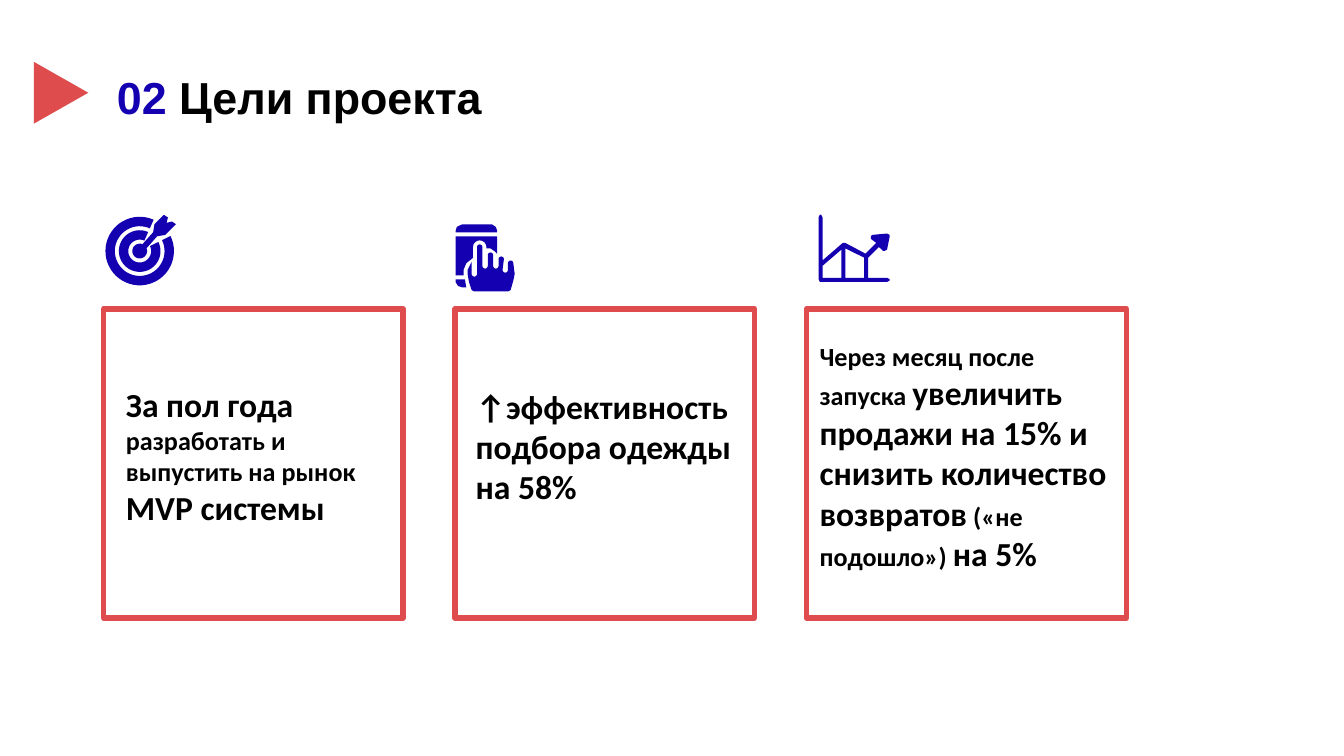
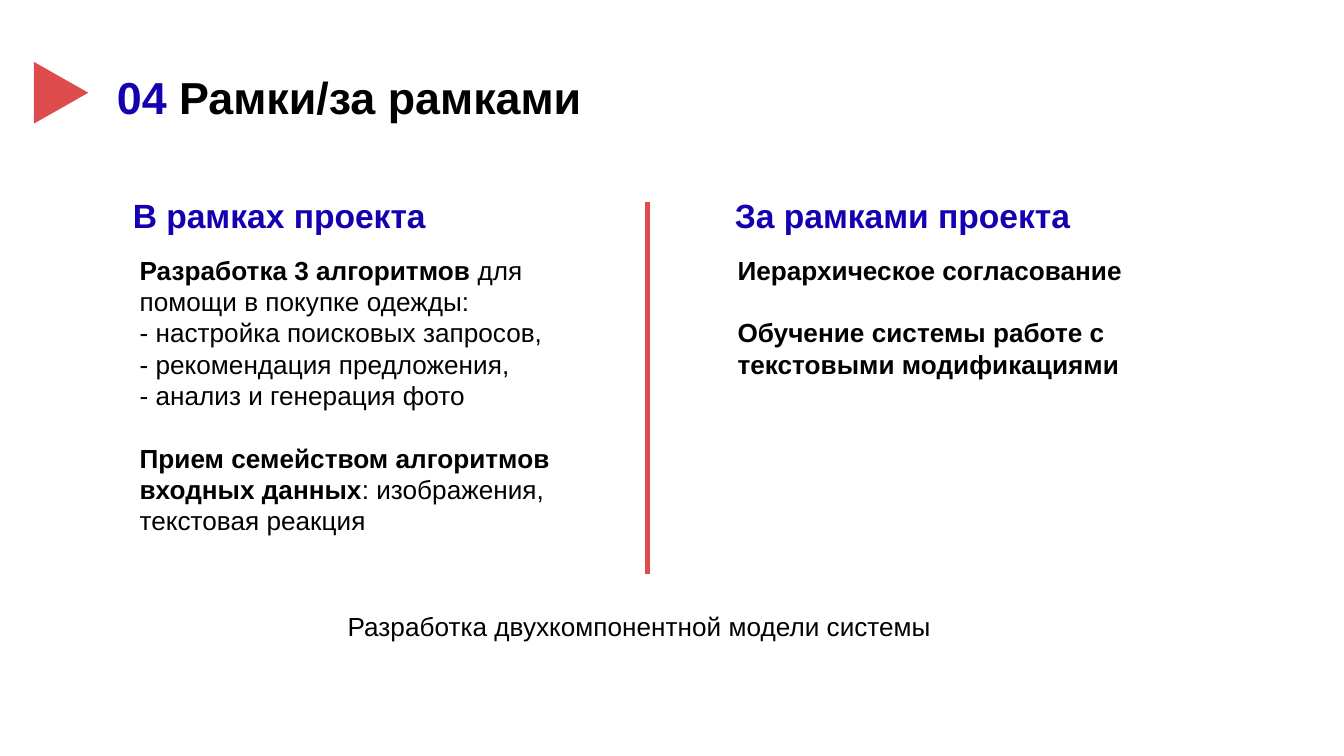
from dataclasses import dataclass
from math import cos, radians, sin

from lxml import etree
from pptx import Presentation
from pptx.dml.color import RGBColor
from pptx.enum.shapes import MSO_CONNECTOR, MSO_SHAPE
from pptx.enum.text import MSO_ANCHOR
from pptx.oxml.ns import qn
from pptx.util import Cm, Pt

RECT = MSO_SHAPE.RECTANGLE
LINE = MSO_CONNECTOR.STRAIGHT
TOP = MSO_ANCHOR.TOP
MID = MSO_ANCHOR.MIDDLE

RED = "DE4C4D"
BLUE = "1500B1"
BLACK = "000000"
SANS = "Arial"
BODY = "Calibri"
GRID = Cm(2.54) / 100
STROKE = Pt(3)
BREAK = 16.8

Point = tuple[float, float]
Path = list[Point]


@dataclass(frozen=True)
class Box:
    left: float
    top: float
    width: float
    height: float

    def lengths(self) -> list[Cm]:
        return [Cm(v) for v in (self.left, self.top, self.width, self.height)]


@dataclass(frozen=True)
class Run:
    text: str
    size: float = 14
    bold: bool = True
    tone: str = BLACK


@dataclass(frozen=True)
class Para:
    runs: list[Run]
    gap: float = 0


@dataclass(frozen=True)
class Icon:
    left: float
    top: float
    paths: list[Path]


@dataclass(frozen=True)
class Goal:
    width: float
    icon: Icon
    box: Box
    pad: tuple[float, float]
    runs: list[Run]


@dataclass(frozen=True)
class Scope:
    head: str
    box: Box
    body: Box
    paras: list[Para]


def hue(code: str) -> RGBColor:
    return RGBColor.from_string(code)


def put(para, text: str, *, size: float, bold: bool, tone: str, face: str) -> None:
    run = para.add_run()
    run.text = text
    run.font.size = Pt(size)
    run.font.bold = bold
    run.font.name = face
    run.font.color.rgb = hue(tone)


def write(slide, box: Box, paras: list[Para], face: str = SANS,
          pad: tuple[float, float] = (0.25, 0.25), left: float = 0, anchor=TOP) -> None:
    frame = slide.shapes.add_textbox(*box.lengths()).text_frame
    frame.word_wrap = True
    frame.vertical_anchor = anchor
    frame.margin_left = Cm(pad[0] + left)
    frame.margin_right = Cm(pad[0])
    frame.margin_top = frame.margin_bottom = Cm(pad[1])
    for i, item in enumerate(paras):
        para = frame.add_paragraph() if i else frame.paragraphs[0]
        para.space_before = Pt(item.gap)
        for run in item.runs:
            put(para, run.text, size=run.size, bold=run.bold, tone=run.tone, face=face)


def draw(slide, icon: Icon, tone: str) -> None:
    paths = [[(x * GRID, y * GRID) for x, y in path] for path in icon.paths]
    pen = slide.shapes.build_freeform(*paths[0][0])
    for i, path in enumerate(paths):
        if i:
            pen.move_to(*path[0])
        pen.add_line_segments(path[1:], close=True)
    shape = pen.convert_to_shape(Cm(icon.left), Cm(icon.top))
    shape.shadow.inherit = False
    shape.fill.solid()
    shape.fill.fore_color.rgb = hue(tone)
    shape.line.fill.background()


def frame(slide, box: Box) -> None:
    shape = slide.shapes.add_shape(RECT, *box.lengths())
    shape.shadow.inherit = False
    shape.fill.background()
    shape.line.color.rgb = hue(RED)
    shape.line.width = STROKE


def rule(slide, x: float, top: float, foot: float) -> None:
    line = slide.shapes.add_connector(LINE, Cm(x), Cm(top), Cm(x), Cm(foot))
    line.line.color.rgb = hue(RED)
    line.line.width = STROKE
    etree.SubElement(line._element.spPr, qn("a:effectLst"))


def arc(mid: Point, size: float, start: float, end: float, steps: int = 8) -> Path:
    turns = [radians(start + (end - start) * i / steps) for i in range(steps + 1)]
    return [(mid[0] + size * cos(t), mid[1] + size * sin(t)) for t in turns]


def ring(mid: Point, outer: float, inner: float) -> Path:
    return arc(mid, outer, -26, 294, 48) + arc(mid, inner, 294, -26, 48)


def target() -> list[Path]:
    mid = (26, 27)
    dart = arc(mid, 5.5, -22, 292, 24) + [
        (36, 13), (37, 7), (44, 0), (47, 2), (46, 6),
        (50, 5), (53, 7), (45, 15), (39, 16)]
    return [ring(mid, 25.5, 18.5), ring(mid, 15.5, 8.5), dart]


def phone() -> list[Path]:
    tips = [(18, 17), (26, 23), (34, 26), (41, 29)]
    dips = [(14, 37), (22, 31), (30, 31), (37, 34)]
    hand = []
    for dip, tip in zip(dips, tips):
        hand += arc(dip, 2, 180, 0) + arc(tip, 2, 180, 360)
    hand += [(44, 37), (43, 42), (41, 49), (39, 50), (14, 50),
             (12, 49), (10, 43), (9, 37), (9, 34), (12, 28)]
    cap = [(0, 6), (0, 5), (1, 2), (5, 0), (27, 0), (30, 2), (31, 5), (31, 6)]
    case = [(0, 9), (0, 38), (6, 38), (6, 34), (8, 29), (13, 25),
            *arc((18, 17), 5, 180, 360),
            (23, 18), (26, 18), (29, 20), (31, 22), (31, 9)]
    foot = [(0, 41), (0, 43), (2, 46), (5, 47), (8, 47), (7, 41)]
    return [cap, case, foot, hand]


def graph() -> list[Path]:
    edge = [(1, 0), (2, 0), (3, 2), (3, 34), (18, 21), (20, 21), (35, 29), (43, 21),
            (39, 18), (39, 16), (40, 15), (51, 14), (53, 15), (53, 16), (51, 26),
            (49, 27), (48, 27), (45, 24), (37, 32), (37, 47), (51, 47), (53, 48),
            (53, 49), (51, 50), (1, 50), (0, 48), (0, 2)]
    return [edge,
            [(17, 26), (17, 47), (3, 47), (3, 38)],
            [(20, 25), (34, 32), (34, 47), (20, 47)]]


MARK = Icon(0.64, 1.17, [[(0, 0), (0, 46), (40.5, 23)]])
TITLE = Box(1.96, 1.02, 21.46, 1.6)

GOALS = [
    Goal(5.66, Icon(1.98, 4.06, target()), Box(2.13, 7.01, 5.11, 3.28), (0.25, 0.25), [
        Run("За пол года ", 18),
        Run("разработать и выпустить на рынок "),
        Run("MVP системы", 18)]),
    Goal(5.66, Icon(8.61, 4.24, phone()), Box(8.74, 7.04, 5.36, 3.28), (0.25, 0.25), [
        Run("↑эффективность подбора одежды на 58%", 18)]),
    Goal(6.05, Icon(15.47, 4.06, graph()), Box(15.24, 6.3, 6.2, 4.7), (0.25, 0.13), [
        Run("Через месяц после запуска "),
        Run("увеличить продажи на 15% и снизить количество возвратов", 18),
        Run(" («не подошло») "),
        Run("на 5%", 18)]),
]

SCOPES = [
    Scope("В рамках проекта", Box(2.26, 3.43, 8.59, 1.42), Box(1.96, 4.55, 8.97, 6.05), [
        Para([Run("Разработка 3 алгоритмов "),
              Run("для помощи в покупке одежды:", bold=False)]),
        Para([Run("- настройка поисковых запросов,", bold=False)]),
        Para([Run("- рекомендация предложения,", bold=False)]),
        Para([Run("- анализ и генерация фото", bold=False)]),
        Para([Run("Прием семейством алгоритмов входных данных"),
              Run(": изображения, текстовая реакция", bold=False)], BREAK)]),
    Scope("За рамками проекта", Box(13.64, 3.43, 8.59, 1.42), Box(13.26, 4.55, 8.43, 3.58), [
        Para([Run("Иерархическое согласование")]),
        Para([Run("Обучение системы работе с текстовыми модификациями")], BREAK)]),
]


def start(deck, code: str, name: str):
    slide = deck.slides.add_slide(deck.slide_layouts[6])
    draw(slide, MARK, RED)
    write(slide, TITLE, [Para([Run(code + " ", 24, tone=BLUE), Run(name, 24)])], anchor=MID)
    return slide


def aims(deck) -> None:
    slide = start(deck, "02", "Цели проекта")
    for i, goal in enumerate(GOALS):
        frame(slide, Box(1.96 + 6.64 * i, 5.84, goal.width, 5.84))
        draw(slide, goal.icon, BLUE)
        write(slide, goal.box, [Para(goal.runs)], BODY, goal.pad)


def bounds(deck) -> None:
    slide = start(deck, "04", "Рамки/за рамками")
    for scope in SCOPES:
        write(slide, scope.box, [Para([Run(scope.head, 18, tone=BLUE)])])
        write(slide, scope.body, scope.paras, left=0.43)
    rule(slide, 12.24, 3.81, 10.85)
    note = Run("Разработка двухкомпонентной модели системы", bold=False)
    write(slide, Box(5.89, 11.4, 12.7, 0.86), [Para([note])], pad=(0.25, 0.13), left=0.43)


def main() -> None:
    deck = Presentation()
    deck.slide_width = Cm(25.4)
    deck.slide_height = Cm(14.29)
    aims(deck)
    bounds(deck)
    deck.save("out.pptx")


if __name__ == "__main__":
    main()
